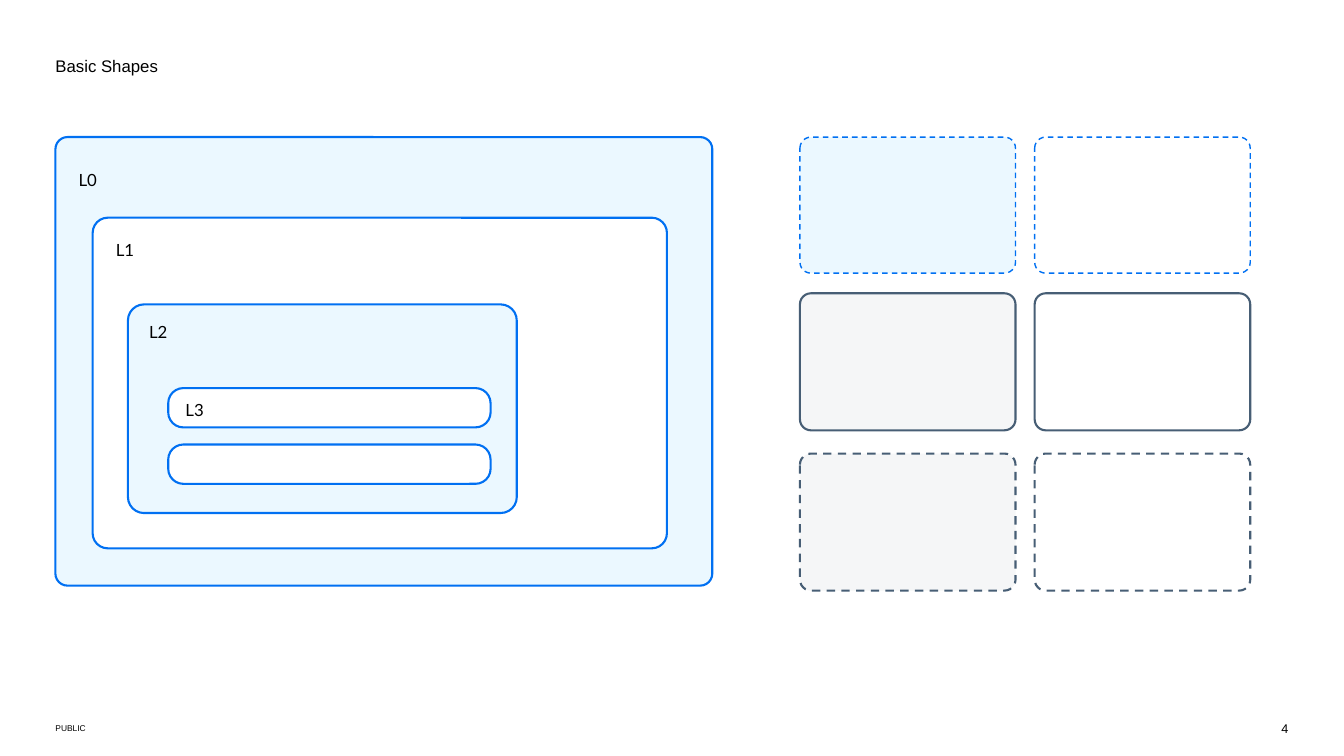
from dataclasses import dataclass

from pptx import Presentation
from pptx.dml.color import RGBColor
from pptx.enum.dml import MSO_LINE
from pptx.enum.shapes import MSO_SHAPE
from pptx.enum.text import MSO_ANCHOR, MSO_AUTO_SIZE, PP_ALIGN
from pptx.util import Inches, Pt


@dataclass(frozen=True)
class Theme:
    text: str = "000000"
    white: str = "FFFFFF"
    blue: str = "0070F2"
    pale_blue: str = "EBF8FF"
    slate: str = "475E75"
    pale_grey: str = "F5F6F7"
    font: str = "Arial"
    label_font: str = "Lato"
    title_size: int = 12
    label_size: int = 12
    number_size: int = 9
    footer_size: int = 6
    label_spacing: int = 14
    line: float = 1.5
    thin_line: float = 1


THEME = Theme()


def place(sp, left, top, width, height):
    sp.left, sp.top = Inches(left), Inches(top)
    sp.width, sp.height = Inches(width), Inches(height)


def write(sp, text, size, font=THEME.font, align=PP_ALIGN.LEFT,
          anchor=MSO_ANCHOR.TOP, wrap=True):
    tf = sp.text_frame
    tf.text = text
    tf.word_wrap = wrap
    tf.auto_size = MSO_AUTO_SIZE.NONE
    tf.vertical_anchor = anchor
    tf.margin_left = tf.margin_right = tf.margin_top = tf.margin_bottom = 0
    p = tf.paragraphs[0]
    p.alignment = align
    r = p.runs[0]
    r.font.name = font
    r.font.size = Pt(size)
    r.font.color.rgb = RGBColor.from_string(THEME.text)
    return p


def add_title(s, text):
    sp = s.shapes.title
    place(sp, 0.55, 0.55, 12.23, 0.2)
    write(sp, text, THEME.title_size)


def add_text(s, box, text, size, **style):
    sp = s.shapes.add_textbox(*map(Inches, box))
    return write(sp, text, size, **style)


def add_label(s, left, top, text):
    p = add_text(s, (left, top, 0.52, 0.52), text, THEME.label_size,
                 font=THEME.label_font)
    p.line_spacing = Pt(THEME.label_spacing)


def add_box(s, box, radius, fill, line, weight=THEME.line, dashed=False):
    sp = s.shapes.add_shape(MSO_SHAPE.ROUNDED_RECTANGLE, *map(Inches, box))
    sp.shadow.inherit = False
    sp.adjustments[0] = radius / min(box[2:])
    sp.fill.solid()
    sp.fill.fore_color.rgb = RGBColor.from_string(fill)
    sp.line.color.rgb = RGBColor.from_string(line)
    sp.line.width = Pt(weight)
    if dashed:
        sp.line.dash_style = MSO_LINE.DASH


def add_nested_levels(s):
    levels = [
        ((0.55, 1.36, 6.52, 4.45), 0.12, THEME.pale_blue),
        ((0.92, 2.16, 5.7, 3.28), 0.15, THEME.white),
        ((1.27, 3.02, 3.86, 2.07), 0.16, THEME.pale_blue),
        ((1.67, 3.85, 3.2, 0.39), 0.15, THEME.white),
        ((1.67, 4.41, 3.2, 0.39), 0.15, THEME.white),
    ]
    for box, radius, fill in levels:
        add_box(s, box, radius, fill, THEME.blue)
    labels = [(0.78, 1.69), (1.15, 2.38), (1.48, 3.2), (1.84, 3.97)]
    for level, (left, top) in enumerate(labels):
        add_label(s, left, top, f"L{level}")


def add_style_grid(s):
    rows = [
        (1.36, 1.35, THEME.pale_blue, THEME.blue, THEME.thin_line, True),
        (2.91, 1.36, THEME.pale_grey, THEME.slate, THEME.line, False),
        (4.5, 1.36, THEME.pale_grey, THEME.slate, THEME.line, True),
    ]
    for top, height, tint, line, weight, dashed in rows:
        for left, fill in ((7.94, tint), (10.27, THEME.white)):
            add_box(s, (left, top, 2.14, height), 0.11, fill, line, weight, dashed)


def add_footer(s):
    add_text(s, (0.55, 7.15, 11.11, 0.15), "PUBLIC", THEME.footer_size,
             anchor=MSO_ANCHOR.MIDDLE)
    add_text(s, (12.63, 7.15, 0.16, 0.15), "4", THEME.number_size,
             align=PP_ALIGN.RIGHT, wrap=False)


def main():
    prs = Presentation()
    prs.slide_width, prs.slide_height = Inches(13.34), Inches(7.5)
    s = prs.slides.add_slide(prs.slide_layouts[5])
    add_title(s, "Basic Shapes")
    add_nested_levels(s)
    add_style_grid(s)
    add_footer(s)
    prs.save("out.pptx")


if __name__ == "__main__":
    main()
